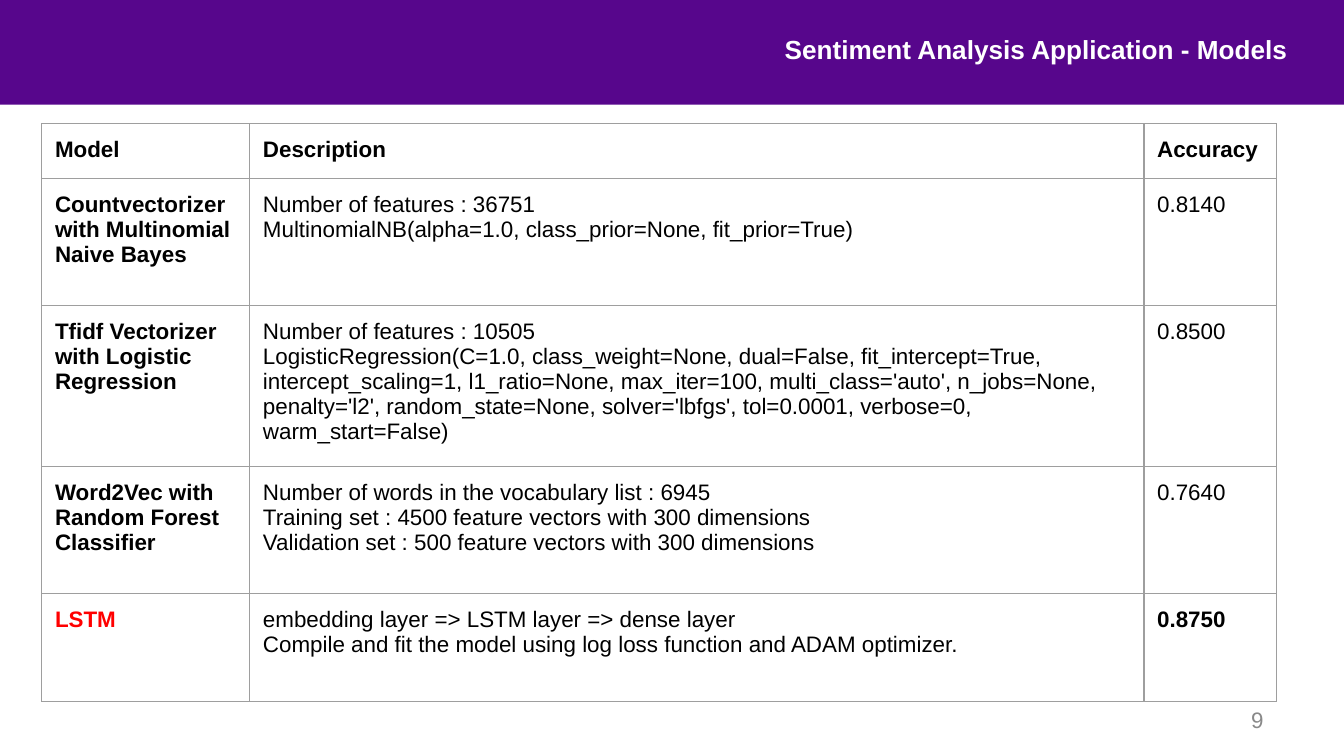
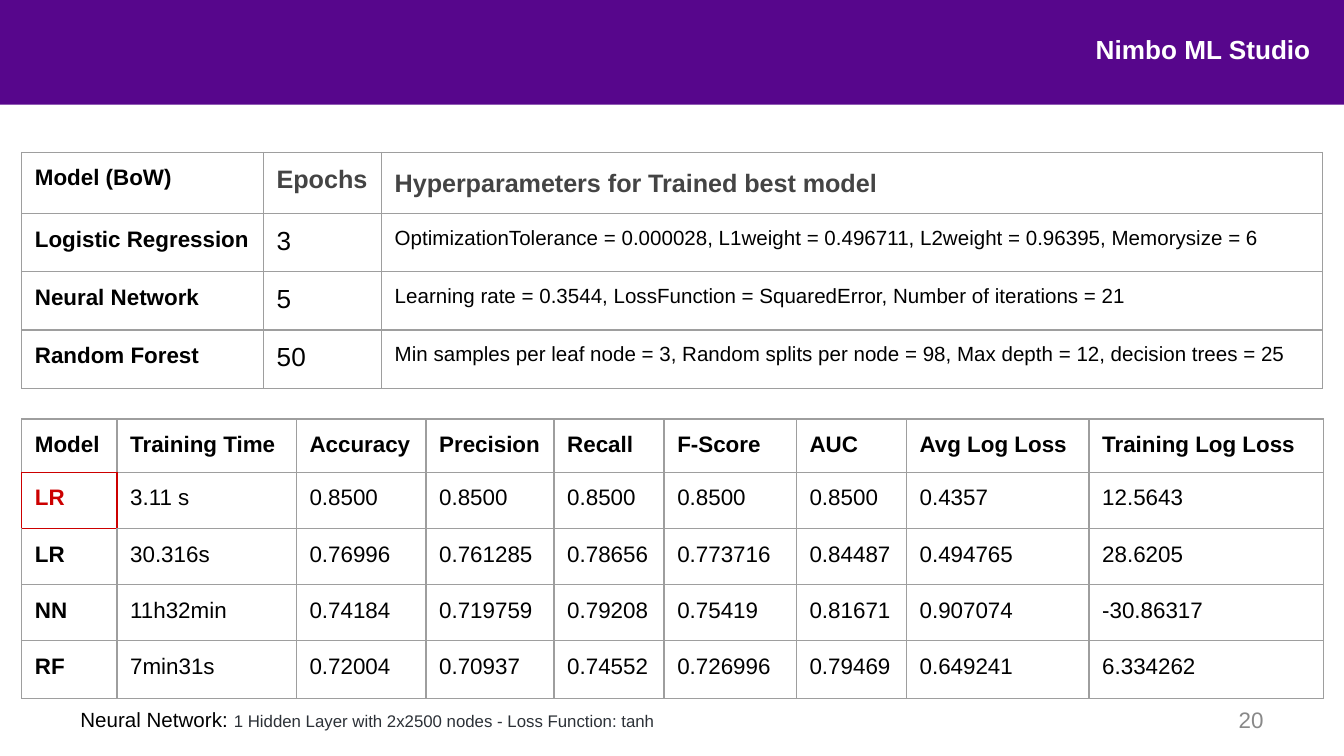
from lxml.etree import SubElement
from pptx import Presentation
from pptx.dml.color import RGBColor
from pptx.enum.shapes import MSO_SHAPE
from pptx.enum.text import MSO_ANCHOR, MSO_AUTO_SIZE, PP_ALIGN
from pptx.oxml import parse_xml
from pptx.oxml.ns import nsdecls, qn
from pptx.util import Cm, Pt

COLORS = {
    "band": "57068C",
    "white": "FFFFFF",
    "black": "000000",
    "heading": "444444",
    "note": "2C3137",
    "number": "898989",
    "grid": "9E9E9E",
    "best": "FF0000",
    "marked": "CC0000",
}
FONT = "Arial"
SIDES = ("lnL", "lnR", "lnT", "lnB")

MODELS = [
    ("Model", "Description", "Accuracy"),
    ("Countvectorizer with Multinomial Naive Bayes",
     "Number of features : 36751\n"
     "MultinomialNB(alpha=1.0, class_prior=None, fit_prior=True)",
     "0.8140"),
    ("Tfidf Vectorizer with Logistic Regression",
     "Number of features : 10505\n"
     "LogisticRegression(C=1.0, class_weight=None, dual=False, fit_intercept=True, "
     "intercept_scaling=1, l1_ratio=None, max_iter=100, multi_class='auto', n_jobs=None, "
     "penalty='l2', random_state=None, solver='lbfgs', tol=0.0001, verbose=0, "
     "warm_start=False)",
     "0.8500"),
    ("Word2Vec with Random Forest Classifier",
     "Number of words in the vocabulary list : 6945\n"
     "Training set : 4500 feature vectors with 300 dimensions\n"
     "Validation set : 500 feature vectors with 300 dimensions",
     "0.7640"),
    ("LSTM",
     "embedding layer => LSTM layer => dense layer\n"
     "Compile and fit the model using log loss function and ADAM optimizer.",
     "0.8750"),
]

HYPERPARAMETERS = [
    ("Model (BoW)", "Epochs", "Hyperparameters for Trained best model"),
    ("Logistic Regression", "3",
     "OptimizationTolerance = 0.000028, L1weight = 0.496711, L2weight = 0.96395, Memorysize = 6"),
    ("Neural Network", "5",
     "Learning rate = 0.3544, LossFunction = SquaredError, Number of iterations = 21"),
    ("Random Forest", "50",
     "Min samples per leaf node = 3, Random splits per node = 98, Max depth = 12, "
     "decision trees = 25"),
]

SCORES = [
    ("Model", "Training Time", "Accuracy", "Precision", "Recall", "F-Score", "AUC",
     "Avg Log Loss", "Training Log Loss"),
    ("LR", "3.11 s", "0.8500", "0.8500", "0.8500", "0.8500", "0.8500", "0.4357", "12.5643"),
    ("LR", "30.316s", "0.76996", "0.761285", "0.78656", "0.773716", "0.84487", "0.494765",
     "28.6205"),
    ("NN", "11h32min", "0.74184", "0.719759", "0.79208", "0.75419", "0.81671", "0.907074",
     "-30.86317"),
    ("RF", "7min31s", "0.72004", "0.70937", "0.74552", "0.726996", "0.79469", "0.649241",
     "6.334262"),
]


class Report:
    """Holds the deck, its style and the current page."""

    def __init__(self):
        self.deck = Presentation()
        self.deck.slide_width, self.deck.slide_height = Cm(25.4), Cm(14.29)
        self.layout = self.deck.slide_layouts.get_by_name("Title Only")
        self.page = None

    def font(self, target, size, color="black", bold=False):
        target.font.name = FONT
        target.font.size = Pt(size)
        target.font.bold = bold
        target.font.color.rgb = RGBColor.from_string(COLORS[color])

    def band(self):
        """Draw the title band and move it to the layout that all pages share."""
        band = self.page.shapes.add_shape(MSO_SHAPE.RECTANGLE, 0, 0, Cm(25.4), Cm(1.98))
        band.shadow.inherit = False
        band.fill.solid()
        band.fill.fore_color.rgb = RGBColor.from_string(COLORS["band"])
        band.line.fill.background()
        band.element.xpath("./p:nvSpPr/p:cNvPr")[0].set("id", "20")
        self.layout.shapes.element.insert(2, band.element)

    def start_page(self, title, left, width, align, number):
        self.page = self.deck.slides.add_slide(self.layout)
        if len(self.deck.slides) == 1:
            self.band()
        box = self.page.shapes.title
        box.left, box.top, box.width, box.height = Cm(left), Cm(0.64), Cm(width), Cm(0.74)
        frame = box.text_frame
        frame.text = title
        frame.auto_size = MSO_AUTO_SIZE.NONE
        frame.vertical_anchor = MSO_ANCHOR.TOP
        frame.margin_left = frame.margin_right = frame.margin_top = frame.margin_bottom = 0
        frame.paragraphs[0].alignment = align
        self.font(frame.paragraphs[0], 14, "white", True)
        self.page_number(number)

    def text_box(self, left, top, width, height):
        box = self.page.shapes.add_textbox(Cm(left), Cm(top), Cm(width), Cm(height))
        box.text_frame.word_wrap = True
        return box.text_frame

    def page_number(self, number):
        frame = self.text_box(18.21, 13.23, 5.92, 0.76)
        frame.vertical_anchor = MSO_ANCHOR.MIDDLE
        para = frame.paragraphs[0]
        para.text = str(number)
        para.alignment = PP_ALIGN.RIGHT
        self.font(para, 12, "number")

    def note(self, label, text):
        frame = self.text_box(1.27, 13.13, 16.5, 0.46)
        frame.margin_top = frame.margin_bottom = Cm(0.25)
        for words, size, color in ((label, 11, "black"), (text, 9, "note")):
            span = frame.paragraphs[0].add_run()
            span.text = words
            self.font(span, size, color)

    def borders(self, cell):
        properties = cell._tc.get_or_add_tcPr()
        for index, side in enumerate(SIDES):
            line = parse_xml(f'<a:{side} {nsdecls("a")} w="9525"/>')
            fill = SubElement(line, qn("a:solidFill"))
            SubElement(fill, qn("a:srgbClr")).set("val", COLORS["grid"])
            properties.insert(index, line)

    def outline(self, table, row, column, color):
        """Recolour the edges of a cell, on both sides of each edge."""
        edges = [(row, column, side) for side in SIDES]
        edges += [(row - 1, column, "lnB"), (row + 1, column, "lnT"), (row, column + 1, "lnL")]
        for y, x, side in edges:
            for shade in table.cell(y, x)._tc.xpath(f"./a:tcPr/a:{side}//a:srgbClr"):
                shade.set("val", COLORS[color])

    def restyle(self, cell, size, color="black", bold=True):
        for para in cell.text_frame.paragraphs:
            self.font(para, size, color, bold)

    def table(self, rows, left, top, widths, heights, sizes=None):
        """Add a table with a bold first row and column; sizes go by column."""
        sizes = sizes or [12] * len(widths)
        table = self.page.shapes.add_table(
            len(rows), len(widths), Cm(left), Cm(top), Cm(sum(widths)), Cm(sum(heights))).table
        table.first_row = table.horz_banding = False
        for column, width in zip(table.columns, widths):
            column.width = Cm(width)
        for row, height in zip(table.rows, heights):
            row.height = Cm(height)
        for y, texts in enumerate(rows):
            for x, text in enumerate(texts):
                cell = table.cell(y, x)
                cell.text = text
                cell.margin_left = cell.margin_right = Cm(0.25)
                cell.margin_top = cell.margin_bottom = Cm(0.25)
                cell.fill.background()
                self.borders(cell)
                self.restyle(cell, sizes[x], bold=y == 0 or x == 0)
        return table


def main():
    report = Report()

    # Models and their accuracy
    report.start_page("Sentiment Analysis Application - Models", 14.38, 10.41,
                      PP_ALIGN.CENTER, 9)
    models = report.table(MODELS, 0.79, 2.34, [3.93, 16.9, 2.51],
                          [1.04, 2.4, 2.88, 2.4, 2.04])
    report.restyle(models.cell(4, 0), 12, "best")
    report.restyle(models.cell(4, 2), 12)

    # Training in the studio: scores, note and hyperparameters
    report.start_page("Nimbo ML Studio", 15.7, 9.07, PP_ALIGN.RIGHT, 20)
    scores = report.table(SCORES, 0.41, 7.92,
                          [1.8, 3.39, 2.45, 2.42, 2.08, 2.5, 2.08, 3.45, 4.43],
                          [0.99, 1.06, 1.06, 1.06, 1.09])
    report.restyle(scores.cell(1, 0), 12, "marked")
    report.outline(scores, 1, 0, "marked")
    report.note("Neural Network: ", "1 Hidden Layer with 2x2500 nodes - Loss Function: tanh")
    settings = report.table(HYPERPARAMETERS, 0.41, 2.88, [4.57, 2.23, 17.78],
                            [1.1] * 4, [12, 14, 11])
    for column in (1, 2):
        report.restyle(settings.cell(0, column), 13.5, "heading")
    settings.cell(0, 2).text_frame.paragraphs[0].line_spacing = 1.15

    report.deck.save("out.pptx")


if __name__ == "__main__":
    main()
